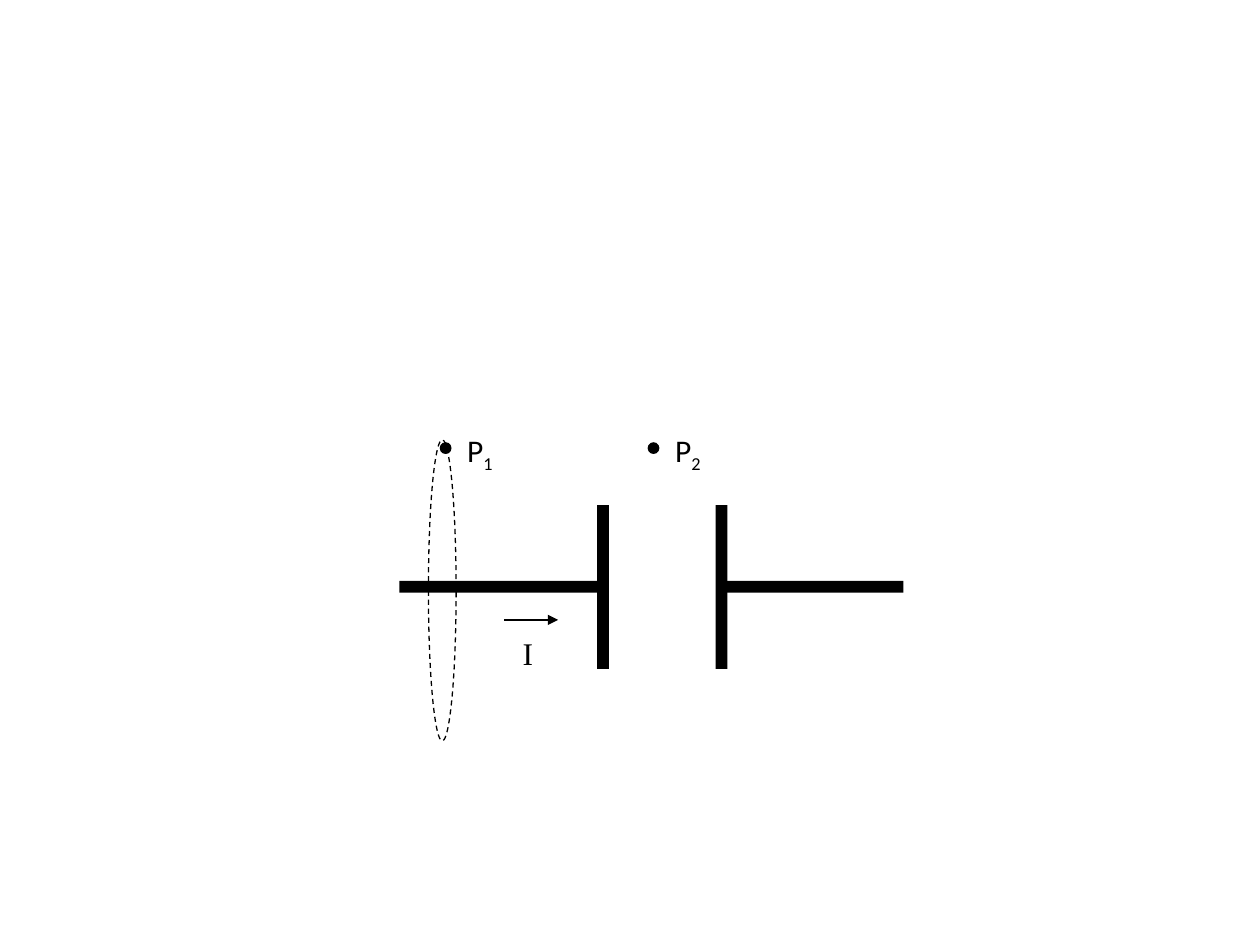
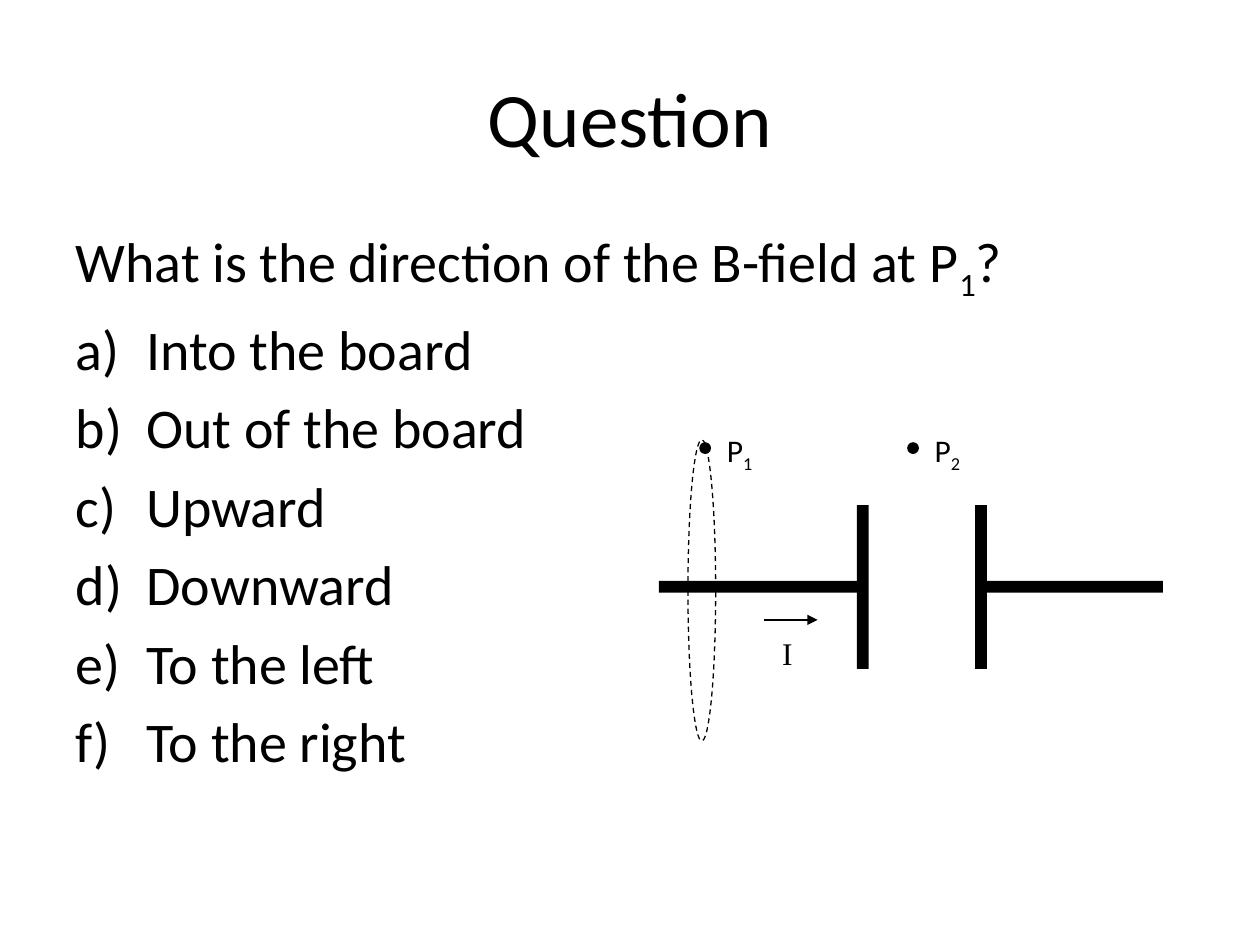
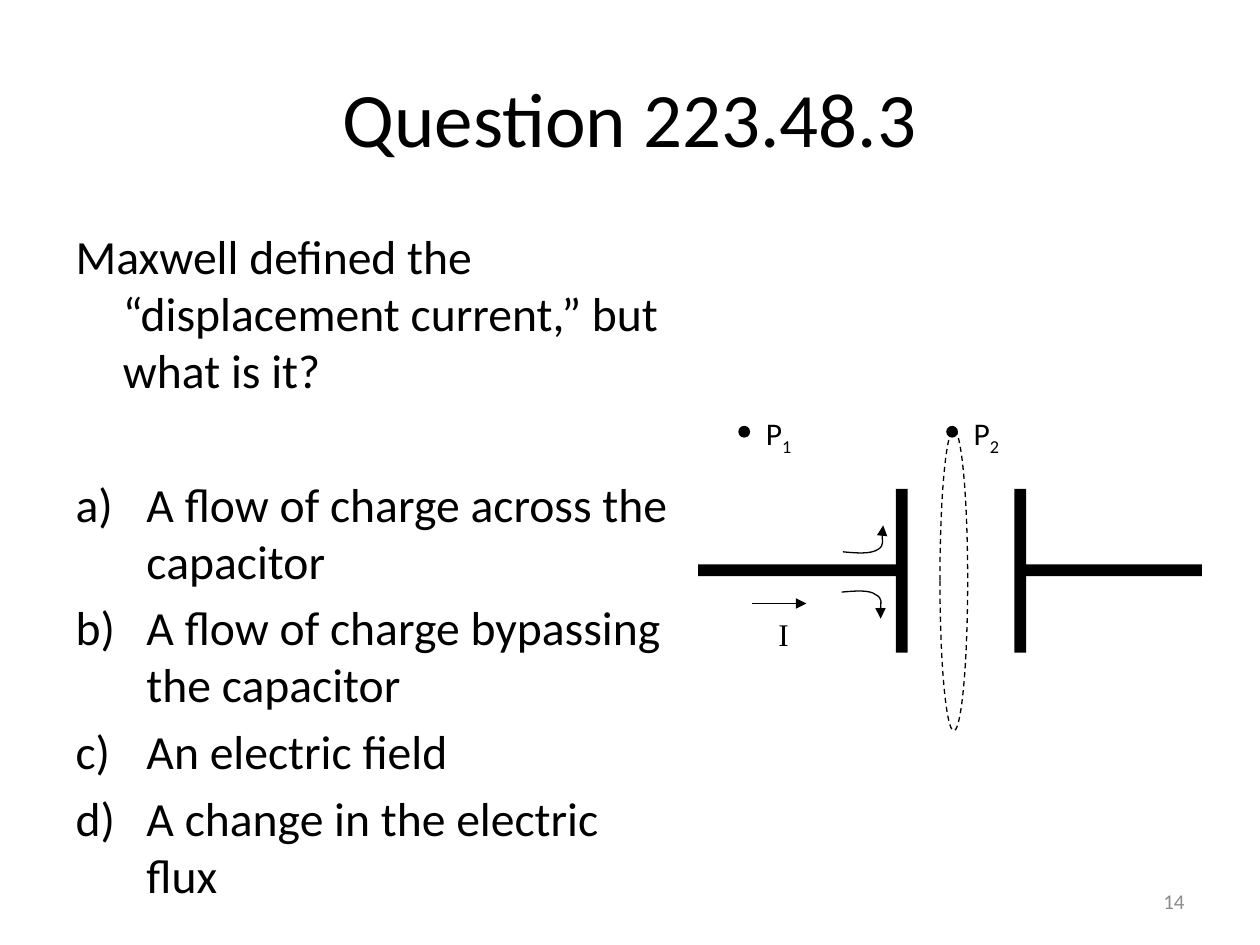
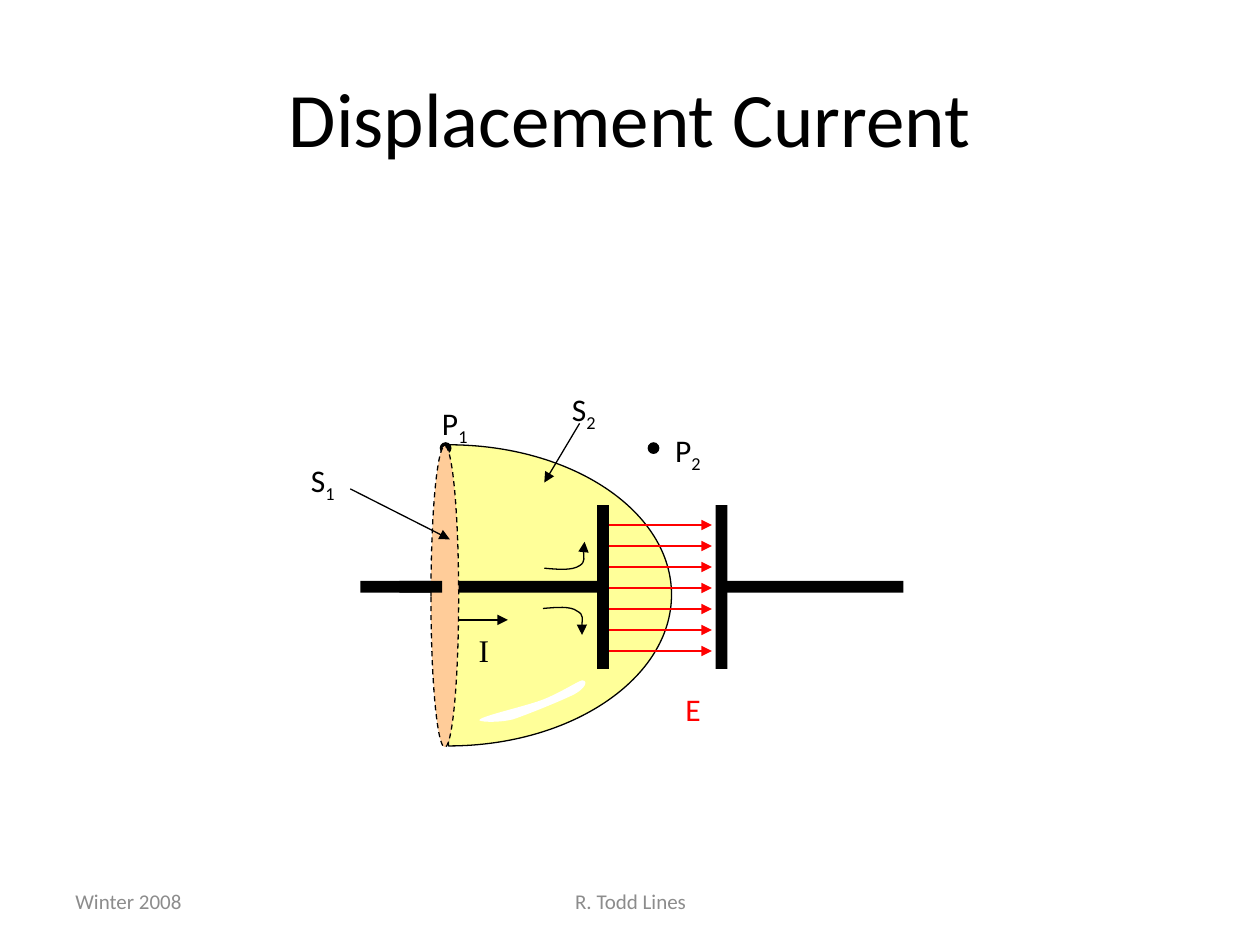
"""Build four slides on the displacement current in a capacitor."""
from lxml import etree
from pptx import Presentation
from pptx.dml.color import RGBColor
from pptx.enum import dml, shapes, text
from pptx.oxml import ns
from pptx.util import Inches, Pt

BLACK = RGBColor(0x00, 0x00, 0x00)
WHITE = RGBColor(0xFF, 0xFF, 0xFF)
GREY = RGBColor(0x8C, 0x8C, 0x8C)
RED = RGBColor(0xFF, 0x00, 0x00)
YELLOW = RGBColor(0xFF, 0xFF, 0x99)
PEACH = RGBColor(0xFF, 0xCC, 0x99)
SANS, SERIF = "Calibri", "Times New Roman"
RECT, OVAL = shapes.MSO_SHAPE.RECTANGLE, shapes.MSO_SHAPE.OVAL
LEFT, CENTER, RIGHT = text.PP_ALIGN.LEFT, text.PP_ALIGN.CENTER, text.PP_ALIGN.RIGHT
THICK = 3 / 32
QUESTION_INDENT, OPTION_INDENT = 3 / 8, 9 / 16


def box(*lengths):
    """Turn lengths in inches into EMU."""
    return [Inches(v) for v in lengths]


def add_run(p, words, size, color=BLACK, font=SANS, sub=False):
    """Add one formatted run, as a subscript if asked."""
    r = p.add_run()
    r.text = words
    r.font.size, r.font.name = Pt(size), font
    r.font.color.rgb = color
    if sub:
        r.font._element.set("baseline", "-25000")


def add_label(g, x, y, words, sub="", w=0.43, color=BLACK, font=SANS):
    """Add a diagram label with an optional subscript."""
    tf = g.add_textbox(*box(x, y, w, 0.37)).text_frame
    tf.word_wrap = bool(sub)
    tf.auto_size = text.MSO_AUTO_SIZE.SHAPE_TO_FIT_TEXT
    p = tf.paragraphs[0]
    add_run(p, words, 18, color, font)
    if sub:
        add_run(p, sub, 18, color, font, sub=True)


def add_footer(s, x, w, words, align):
    """Add one grey footer text."""
    tf = s.shapes.add_textbox(*box(x, 6.95, w, 0.4)).text_frame
    tf.word_wrap = True
    tf.vertical_anchor = text.MSO_ANCHOR.MIDDLE
    tf.paragraphs[0].alignment = align
    add_run(tf.paragraphs[0], words, 12, GREY)


def style(sp, fill=None, line=None, dash=False):
    """Set fill and outline of a shape, without shadow."""
    sp.shadow.inherit = False
    if fill is None:
        sp.fill.background()
    else:
        sp.fill.solid()
        sp.fill.fore_color.rgb = fill
    if line is None:
        sp.line.fill.background()
        return
    sp.line.color.rgb, sp.line.width = line, Pt(0.75)
    if dash:
        sp.line.dash_style = dml.MSO_LINE.DASH


def add_tip(sp):
    """Put a triangle at the end of a line."""
    ln = sp.element.spPr.find(ns.qn("a:ln"))
    etree.SubElement(ln, ns.qn("a:tailEnd"), type="triangle")


def add_arrow(g, x1, y1, x2, y2, color=BLACK):
    """Add a straight arrow."""
    sp = g.add_connector(shapes.MSO_CONNECTOR.STRAIGHT, *box(x1, y1, x2, y2))
    sp.line.color.rgb, sp.line.width = color, Pt(0.75)
    add_tip(sp)
    etree.SubElement(sp.element.spPr, ns.qn("a:effectLst"))


def add_bar(g, x, y, w, h):
    """Add a black bar."""
    style(g.add_shape(RECT, *box(x, y, w, h)), BLACK)


def add_loop(g, x, y, fill=None):
    """Add the dashed loop seen from the side."""
    style(g.add_shape(OVAL, *box(x, y, 0.22, 2.39)), fill, BLACK, dash=True)


def add_curve(g, start, points, close=False, dx=0, dy=0):
    """Add a freeform of cubic curves, three points to each."""
    fb = g.build_freeform(*box(start[0] + dx, start[1] + dy))
    fb.add_line_segments([box(x + dx, y + dy) for x, y in points], close=close)
    sp = fb.convert_to_shape()
    lines = list(sp.element.iter(ns.qn("a:lnTo")))
    for i in range(0, len(lines), 3):
        curve = etree.Element(ns.qn("a:cubicBezTo"))
        lines[i].addprevious(curve)
        for line in lines[i:i + 3]:
            curve.append(line[0])
            line.getparent().remove(line)
    return sp


def add_capacitor(g, dx=0, dy=0):
    """Add the two plates and their wires."""
    for x in (4.74, 5.68):
        add_bar(g, x + dx, 4.01 + dy, THICK, 1.3)
    for x, w in ((5.76, 1.41), (3.17, 1.6)):
        add_bar(g, x + dx, 4.61 + dy, w, THICK)


def add_points(g, dx=0, dy=0, p1_label=(3.61, 3.37)):
    """Add the field points P1 and P2."""
    for x, label, sub in ((3.49, p1_label, "1"), (5.14, (5.26, 3.37), "2")):
        style(g.add_shape(OVAL, *box(x + dx, 3.51 + dy, THICK, THICK)), BLACK)
        add_label(g, label[0] + dx, label[1] + dy, "P", sub)


def add_current(g, dx=0, dy=0, x=4, label=(4.05, 4.98)):
    """Add the current arrow and its letter."""
    add_label(g, label[0] + dx, label[1] + dy, "I", w=0.28, font=SERIF)
    add_arrow(g, x + dx, 4.92 + dy, x + 0.43 + dx, 4.92 + dy)


def add_charge_flow(g, dx=0, dy=0):
    """Add the bent arrows of charge spreading over the plate."""
    down = ((4.31, 4.83), [(4.42, 4.82), (4.53, 4.81), (4.58, 4.85),
                           (4.64, 4.88), (4.61, 5.01), (4.62, 5.04)])
    up = ((4.32, 4.51), [(4.43, 4.52), (4.54, 4.53), (4.6, 4.49),
                         (4.65, 4.46), (4.62, 4.33), (4.64, 4.3)])
    for start, points in (down, up):
        sp = add_curve(g, start, points, dx=dx, dy=dy)
        style(sp, line=BLACK)
        add_tip(sp)


def add_bowl(g):
    """Add the bulging surface S2."""
    sp = add_curve(g, (3.56, 3.53), [(4.54, 3.53), (5.33, 4.06), (5.33, 4.72),
                                     (5.33, 5.38), (4.54, 5.92), (3.56, 5.92)],
                   close=True)
    style(sp, YELLOW, BLACK)


def add_highlight(g):
    """Add the white gleam on the bowl."""
    sp = add_curve(g, (3.81, 5.71), [(3.84, 5.68), (4.15, 5.61), (4.29, 5.56),
                                     (4.43, 5.51), (4.58, 5.41), (4.62, 5.4),
                                     (4.67, 5.4), (4.65, 5.46), (4.56, 5.51),
                                     (4.46, 5.56), (4.19, 5.67), (4.07, 5.71),
                                     (3.95, 5.74), (3.77, 5.73), (3.81, 5.71)],
                   close=True)
    style(sp, WHITE)


def set_title(s, words):
    """Fill the title placeholder."""
    sp = s.shapes.title
    sp.left, sp.top, sp.width, sp.height = box(0.5, 0.3, 9, 1.25)
    tf = sp.text_frame
    tf.vertical_anchor = text.MSO_ANCHOR.MIDDLE
    tf.paragraphs[0].alignment = CENTER
    add_run(tf.paragraphs[0], words, 44)


def set_indent(p, hanging, bullet, **attrs):
    """Set a paragraph's hanging indent and bullet."""
    pPr = p._p.get_or_add_pPr()
    pPr.set("marL", str(Inches(hanging)))
    pPr.set("indent", str(-Inches(hanging)))
    etree.SubElement(pPr, ns.qn(bullet), **attrs)


def set_question(s, parts, options, width, size, hanging=0, gap=None):
    """Fill the body placeholder with a question and lettered options."""
    sp = s.placeholders[1]
    sp.left, sp.top, sp.width, sp.height = box(0.5, 1.75, width, 4.95)
    tf = sp.text_frame
    tf.auto_size = text.MSO_AUTO_SIZE.NONE
    p = tf.paragraphs[0]
    set_indent(p, hanging, "a:buNone")
    for words, sub in parts:
        add_run(p, words, size, sub=sub)
    for i, option in enumerate(options):
        p = tf.add_paragraph()
        set_indent(p, OPTION_INDENT, "a:buAutoNum", type="alphaLcParenR")
        if gap and i == 0:
            p.space_before = Pt(gap)
        add_run(p, option, size)


def build_circuit(prs):
    """Show the capacitor on its own."""
    g = prs.slides.add_slide(prs.slide_layouts[6]).shapes
    add_capacitor(g)
    add_points(g)
    add_current(g)
    add_loop(g, 3.4, 3.49)


def build_direction(prs):
    """Ask for the direction of the field."""
    s = prs.slides.add_slide(prs.slide_layouts[1])
    dx = 2.06
    add_capacitor(s.shapes, dx)
    add_points(s.shapes, dx)
    add_current(s.shapes, dx)
    add_loop(s.shapes, 3.4 + dx, 3.49)
    set_title(s, "Question")
    set_question(s, [("What is the direction of the B-field at P", False),
                     ("1", True), ("?", False)],
                 ["Into the board", "Out of the board", "Upward", "Downward",
                  "To the left", "To the right"], 9, 32)


def build_definition(prs):
    """Ask what the displacement current is."""
    s = prs.slides.add_slide(prs.slide_layouts[1])
    set_title(s, "Question 223.48.3")
    set_question(s, [("Maxwell defined the “displacement current,” but what is it?",
                      False)],
                 ["A flow of charge across the capacitor",
                  "A flow of charge bypassing the capacitor",
                  "An electric field", "A change in the electric flux"],
                 4.93, 27.2, hanging=QUESTION_INDENT, gap=43.5)
    add_footer(s, 7.17, 2.33, "14", RIGHT)
    dx, dy = 2.37, -0.13
    add_capacitor(s.shapes, dx, dy)
    add_points(s.shapes, dx, dy)
    add_current(s.shapes, dx, dy, 3.6, (3.71, 4.96))
    add_loop(s.shapes, 7.46, 3.41)
    add_charge_flow(s.shapes, dx, dy)


def build_surfaces(prs):
    """Show the two surfaces and the field between the plates."""
    s = prs.slides.add_slide(prs.slide_layouts[5])
    add_footer(s, 0.5, 2.33, "Winter 2008", LEFT)
    add_footer(s, 3.42, 3.17, "R. Todd Lines", CENTER)
    set_title(s, "Displacement Current")
    g = s.shapes.add_group_shape().shapes
    add_bowl(g)
    add_capacitor(g)
    add_points(g, p1_label=(3.41, 3.16))
    add_current(g, x=3.6, label=(3.7, 4.96))
    add_loop(g, 3.42, 3.54, PEACH)
    add_charge_flow(g)
    add_bar(g, 2.86, 4.61, 0.65, THICK)
    add_highlight(g)
    add_arrow(g, 2.78, 3.88, 3.57, 4.28)
    add_label(g, 2.37, 3.61, "S", "1")
    add_label(g, 4.44, 3.05, "S", "2")
    add_arrow(g, 4.6, 3.36, 4.32, 3.83)
    for i in range(7):
        y = 4 + (i + 1) / 6
        add_arrow(s.shapes, 4.83, y, 5.65, y, RED)
    add_label(s.shapes, 5.34, 5.43, "E", w=0.35, color=RED)


def main():
    """Build and save the presentation."""
    prs = Presentation()
    prs.slide_width, prs.slide_height = box(10, 7.5)
    build_circuit(prs)
    build_direction(prs)
    build_definition(prs)
    build_surfaces(prs)
    prs.save("out.pptx")


if __name__ == "__main__":
    main()
